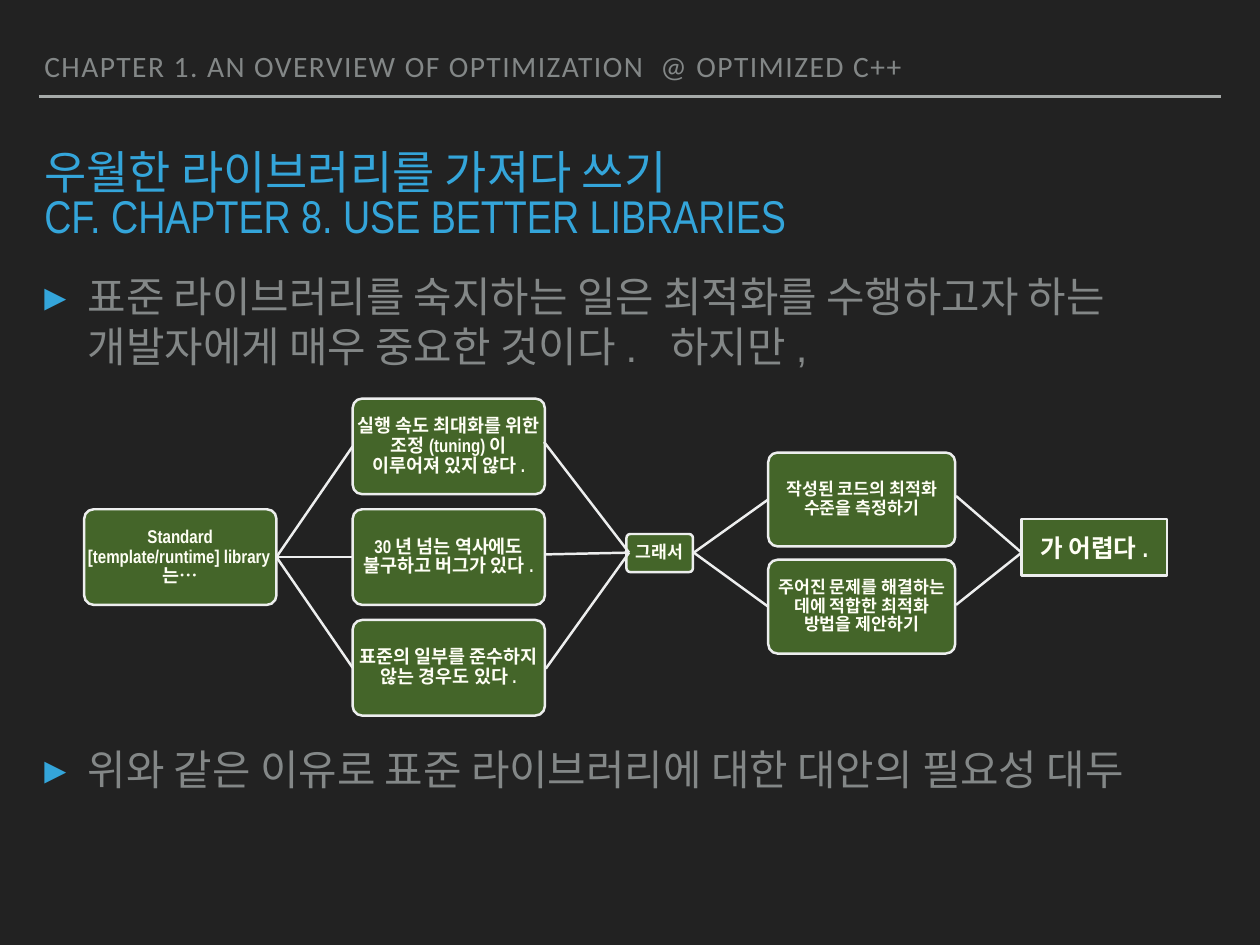
from lxml import etree
from pptx import Presentation
from pptx.dml.color import RGBColor
from pptx.enum.shapes import MSO_CONNECTOR, MSO_SHAPE
from pptx.enum.text import MSO_ANCHOR, PP_ALIGN
from pptx.oxml.ns import qn
from pptx.util import Inches, Pt

STRAIGHT = MSO_CONNECTOR.STRAIGHT
RECT, ROUNDED = MSO_SHAPE.RECTANGLE, MSO_SHAPE.ROUNDED_RECTANGLE
TOP, MIDDLE, BOTTOM = MSO_ANCHOR.TOP, MSO_ANCHOR.MIDDLE, MSO_ANCHOR.BOTTOM
LEFT, CENTER = PP_ALIGN.LEFT, PP_ALIGN.CENTER

COLORS = {
    "background": "222222", "rule": "A6AAA9", "body": "838787",
    "accent": "34A5DA", "card": "446529", "outline": "EDEEEE",
    "card_text": "FEFEF4",
}


def rgb(name):
    return RGBColor.from_string(COLORS[name])


class SlideBuilder:
    heading_font = "Arial Narrow"
    line_width = Pt(2)

    def __init__(self, prs):
        self.s = prs.slides.add_slide(prs.slide_layouts[6])
        fill = self.s.background.fill
        fill.solid()
        fill.fore_color.rgb = rgb("background")

    def frame(self, sp, inset, anchor):
        tf = sp.text_frame
        tf.word_wrap = True
        tf.vertical_anchor = anchor
        tf.margin_left = tf.margin_right = Inches(inset)
        tf.margin_top = tf.margin_bottom = Inches(inset)
        return tf

    def style(self, p, font, size, color, spacing=1.0, align=LEFT, bold=False):
        p.font.name = font
        p.font.size = Pt(size)
        p.font.color.rgb = rgb(color)
        p.font.bold = bold
        p.line_spacing = spacing
        p.alignment = align

    def text(self, box, text, font, size, color, anchor=TOP, tracking=0):
        sp = self.s.shapes.add_textbox(*map(Inches, box))
        p = self.frame(sp, 0.06, anchor).paragraphs[0]
        p.text = text
        self.style(p, font, size, color, spacing=0.8)
        p._p.pPr.find(qn("a:defRPr")).set("spc", str(tracking))

    def bullets(self, box, items):
        sp = self.s.shapes.add_textbox(*map(Inches, box))
        tf = self.frame(sp, 0.06, TOP)
        for i, (text, before) in enumerate(items):
            p = tf.add_paragraph() if i else tf.paragraphs[0]
            p.text = text
            p.space_before = Pt(before)
            self.style(p, "Arial", 34, "body")
            self.add_bullet(p)

    def add_bullet(self, p):
        pPr = p._p.pPr
        pPr.set("marL", str(Inches(0.49)))
        pPr.set("indent", str(-Inches(0.49)))
        color = etree.Element(qn("a:buClr"))
        etree.SubElement(color, qn("a:srgbClr"), val=COLORS["accent"])
        size = etree.Element(qn("a:buSzPct"), val="105000")
        font = etree.Element(qn("a:buFont"), typeface="Arial")
        char = etree.Element(qn("a:buChar"), char="▸")
        for mark in (color, size, font, char):
            pPr.find(qn("a:defRPr")).addprevious(mark)

    def card(self, box, text, size, kind=ROUNDED, spacing=0.9):
        sp = self.s.shapes.add_shape(kind, *map(Inches, box))
        if kind == ROUNDED:
            sp.adjustments[0] = 0.1
        sp.shadow.inherit = False
        sp.fill.solid()
        sp.fill.fore_color.rgb = rgb("card")
        sp.line.color.rgb = rgb("outline")
        sp.line.width = self.line_width
        p = self.frame(sp, 0.01, MIDDLE).paragraphs[0]
        p.text = text
        self.style(p, self.heading_font, size, "card_text", spacing, CENTER, True)

    def line(self, start, end, color="outline"):
        c = self.s.shapes.add_connector(STRAIGHT, *map(Inches, start + end))
        c.line.color.rgb = rgb(color)
        c.line.width = self.line_width
        etree.SubElement(c._element.spPr, qn("a:effectLst"))

    def fan(self, hub, left, top, width, height, pitch, size, texts):
        for i, text in enumerate(texts):
            y = top + i * pitch
            self.line(hub, (left, y + height / 2))
            self.card((left, y, width, height), text, size)

    def merge(self, starts, hub):
        for start in starts:
            self.line(start, hub)


def main():
    prs = Presentation()
    prs.slide_width, prs.slide_height = Inches(14.22), Inches(10.67)
    b = SlideBuilder(prs)

    b.line((0.44, 1.09), (13.78, 1.09), "rule")
    b.text((0.44, 0.56, 12.22, 0.44),
           "CHAPTER 1. AN OVERVIEW OF OPTIMIZATION  @ OPTIMIZED C++",
           "Calibri", 24, "body", BOTTOM, tracking=120)
    b.text((0.44, 1.68, 13.33, 0.79),
           "우월한 라이브러리를 가져다 쓰기\vCF. CHAPTER 8. USE BETTER LIBRARIES",
           b.heading_font, 37.3, "accent")

    b.card((0.95, 5.75, 2.17, 1.08), "Standard [template/runtime] library는…", 15)
    b.fan((3.12, 6.29), 3.98, 4.5, 2.17, 1.08, 1.25, 15, [
        "실행 속도 최대화를 위한 조정(tuning)이 이루어져 있지 않다.",
        "30년 넘는 역사에도 불구하고 버그가 있다.",
        "표준의 일부를 준수하지 않는 경우도 있다.",
    ])
    b.card((7.07, 6.03, 0.75, 0.43), "그래서", 14)
    b.fan((7.83, 6.24), 8.67, 5.11, 2.11, 1.06, 1.21, 14, [
        "작성된 코드의 최적화 수준을 측정하기",
        "주어진 문제를 해결하는 데에 적합한 최적화 방법을 제안하기",
    ])
    b.merge([(6.14, 4.99), (6.15, 6.26), (6.16, 7.55)], (7.1, 6.24))
    b.card((11.53, 5.86, 1.64, 0.64), "가 어렵다.", 20, RECT, spacing=1.0)
    b.merge([(10.79, 5.6), (10.79, 6.83)], (11.53, 6.24))

    b.bullets((0.44, 3, 13.33, 6.68), [
        ("표준 라이브러리를 숙지하는 일은 최적화를 수행하고자 하는 "
         "개발자에게 매우 중요한 것이다.  하지만,", 0),
        ("위와 같은 이유로 표준 라이브러리에 대한 대안의 필요성 대두", 303),
    ])
    prs.save("out.pptx")


if __name__ == "__main__":
    main()
